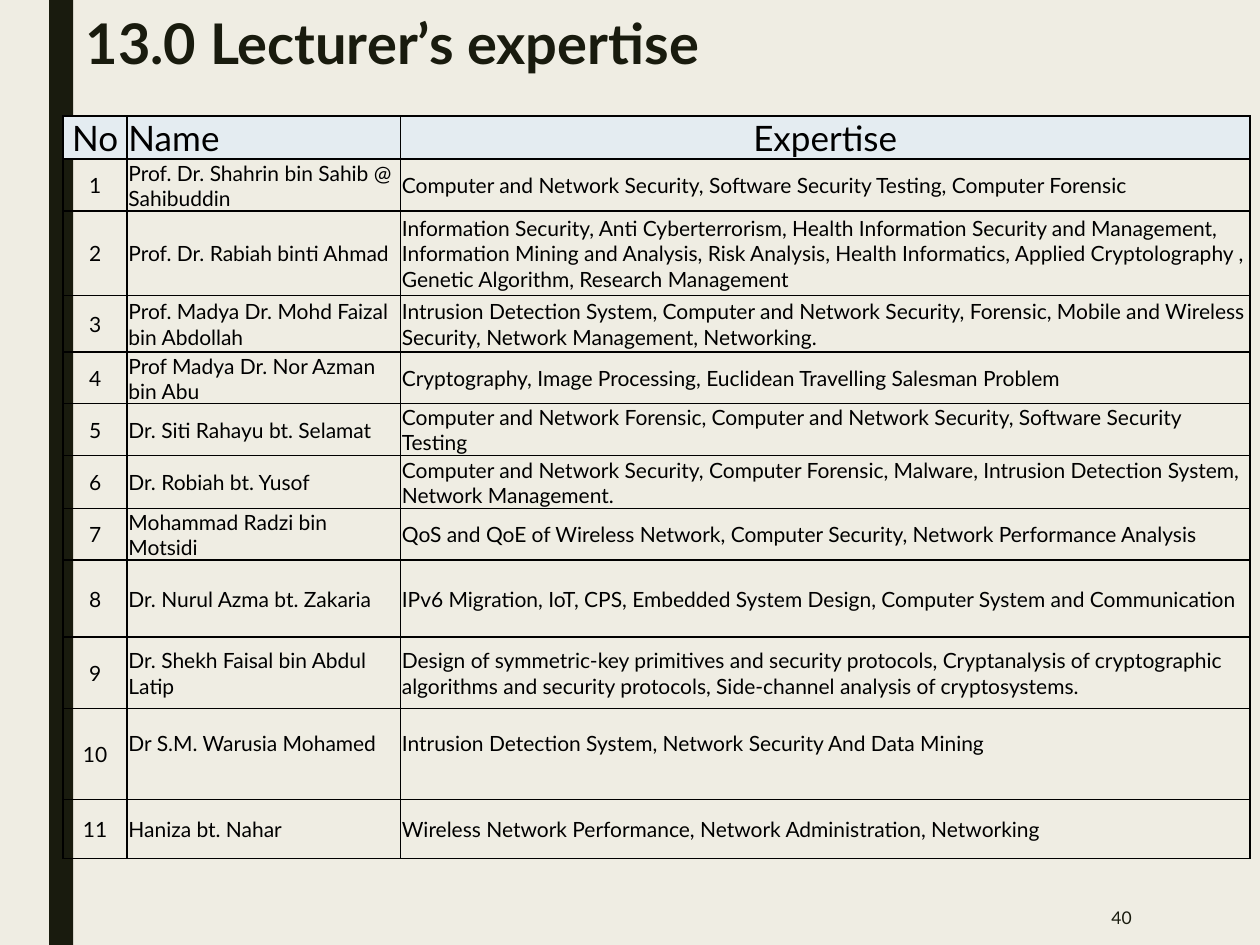
import pptx
import pptx.util
import pptx.dml.color
import pptx.enum.shapes
import pptx.enum.text
from dataclasses import dataclass
from lxml import etree

Inches, Pt = pptx.util.Inches, pptx.util.Pt
ALIGN = pptx.enum.text.PP_ALIGN
ANCHOR = pptx.enum.text.MSO_ANCHOR


@dataclass(frozen=True)
class Theme:
    font: str = "Lato"
    background: str = "EFEDE3"
    dark: str = "191B0E"
    header: str = "E4ECF1"
    black: str = "000000"
    title_size: int = 32
    header_size: int = 20
    body_size: int = 12
    number_size: int = 10
    border: int = 1


THEME = Theme()
TITLE = "13.0 Lecturer’s expertise"
PAGE_NUMBER = "40"
HEADINGS = ("No", "Name", "Expertise")
# name, expertise, row height in inches
LECTURERS = [
    ("Prof. Dr. Shahrin bin Sahib @ Sahibuddin",
     "Computer and Network Security, Software Security Testing, Computer Forensic", 0.4),
    ("Prof. Dr. Rabiah binti Ahmad",
     "Information Security, Anti Cyberterrorism, Health Information Security and Management, "
     "Information Mining and Analysis, Risk Analysis, Health Informatics, "
     "Applied Cryptolography , Genetic Algorithm, Research Management", 0.67),
    ("Prof. Madya Dr. Mohd Faizal bin Abdollah",
     "Intrusion Detection System, Computer and Network Security, Forensic, Mobile and "
     "Wireless Security, Network Management, Networking.", 0.45),
    ("Prof Madya Dr. Nor Azman bin Abu",
     "Cryptography, Image Processing, Euclidean Travelling Salesman Problem", 0.39),
    ("Dr. Siti Rahayu bt. Selamat",
     "Computer and Network Forensic, Computer and Network Security, "
     "Software Security Testing", 0.34),
    ("Dr. Robiah bt. Yusof",
     "Computer and Network Security, Computer Forensic, Malware, "
     "Intrusion Detection System, Network Management.", 0.42),
    ("Mohammad Radzi bin Motsidi",
     "QoS and QoE of Wireless Network, Computer Security, Network Performance Analysis", 0.39),
    ("Dr. Nurul Azma bt. Zakaria",
     "IPv6 Migration, IoT, CPS, Embedded System Design, "
     "Computer System and Communication", 0.61),
    ("Dr. Shekh Faisal bin Abdul Latip",
     "Design of symmetric-key primitives and security protocols, Cryptanalysis of "
     "cryptographic algorithms and security protocols, "
     "Side-channel analysis of cryptosystems.", 0.57),
    ("Dr S.M. Warusia Mohamed",
     "Intrusion Detection System, Network Security And Data Mining", 0.72),
    ("Haniza bt. Nahar",
     "Wireless Network Performance, Network Administration, Networking", 0.47),
]
COLUMN_WIDTHS = (0.51, 2.17, 6.74)
HEADER_HEIGHT = 0.23
RAISED_ROW = 10
RAISED_MARGIN = 0.18


def rgb(value):
    return pptx.dml.color.RGBColor.from_string(value)


def write(frame, text, size, color, align=ALIGN.LEFT, bold=False):
    paragraph = frame.paragraphs[0]
    paragraph.alignment = align
    run = paragraph.add_run()
    run.text = text
    run.font.name = THEME.font
    run.font.size = Pt(size)
    run.font.bold = bold
    run.font.color.rgb = rgb(color)
    return paragraph


def add_borders(cell):
    properties = cell._tc.get_or_add_tcPr()
    namespace = "{http://schemas.openxmlformats.org/drawingml/2006/main}"
    for side in ("lnL", "lnR", "lnT", "lnB"):
        line = etree.SubElement(properties, namespace + side, w=str(Pt(THEME.border)))
        fill = etree.SubElement(line, namespace + "solidFill")
        etree.SubElement(fill, namespace + "srgbClr", val=THEME.black)


def add_title(slide):
    title = slide.shapes.title
    title.left, title.top = Inches(0.58), Inches(0.08)
    title.width, title.height = Inches(5.95), Inches(1.41)
    title.text_frame.vertical_anchor = ANCHOR.TOP
    title.text_frame.word_wrap = True
    paragraph = write(title.text_frame, TITLE, THEME.title_size, THEME.dark, bold=True)
    paragraph.line_spacing = 0.89


def add_side_bar(slide, height):
    bar = slide.shapes.add_shape(pptx.enum.shapes.MSO_SHAPE.RECTANGLE,
                                 Inches(0.39), 0, Inches(0.19), height)
    bar.shadow.inherit = False
    bar.fill.solid()
    bar.fill.fore_color.rgb = rgb(THEME.dark)
    bar.line.fill.background()


def add_page_number(slide):
    box = slide.shapes.add_textbox(Inches(7.77), Inches(7.06), Inches(1.31), Inches(0.44))
    box.text_frame.word_wrap = True
    box.text_frame.vertical_anchor = ANCHOR.MIDDLE
    write(box.text_frame, PAGE_NUMBER, THEME.number_size, THEME.dark, ALIGN.RIGHT)


def add_expertise_table(slide):
    rows = [HEADINGS] + [(str(number), name, expertise)
                         for number, (name, expertise, _) in enumerate(LECTURERS, 1)]
    heights = [HEADER_HEIGHT] + [height for _, _, height in LECTURERS]
    table = slide.shapes.add_table(len(rows), len(COLUMN_WIDTHS), Inches(0.5), Inches(0.92),
                                   Inches(sum(COLUMN_WIDTHS)), Inches(sum(heights))).table
    table.first_row = table.horz_banding = False
    for column, width in zip(table.columns, COLUMN_WIDTHS):
        column.width = Inches(width)
    for row_index, (texts, height) in enumerate(zip(rows, heights)):
        table.rows[row_index].height = Inches(height)
        is_header = row_index == 0
        for column_index, text in enumerate(texts):
            cell = table.cell(row_index, column_index)
            cell.margin_left = cell.margin_right = cell.margin_top = Inches(0.01)
            raised = row_index == RAISED_ROW and column_index > 0
            cell.margin_bottom = Inches(RAISED_MARGIN if raised else 0)
            cell.vertical_anchor = ANCHOR.MIDDLE
            add_borders(cell)
            if is_header:
                cell.fill.solid()
                cell.fill.fore_color.rgb = rgb(THEME.header)
            else:
                cell.fill.background()
            centred = column_index == 0 or (is_header and column_index == 2)
            write(cell.text_frame, text,
                  THEME.header_size if is_header else THEME.body_size,
                  THEME.black, ALIGN.CENTER if centred else ALIGN.LEFT)


def main():
    presentation = pptx.Presentation()
    presentation.slide_width, presentation.slide_height = Inches(10), Inches(7.5)
    slide = presentation.slides.add_slide(presentation.slide_layouts.get_by_name("Title Only"))
    slide.background.fill.solid()
    slide.background.fill.fore_color.rgb = rgb(THEME.background)
    add_side_bar(slide, presentation.slide_height)
    add_title(slide)
    add_page_number(slide)
    add_expertise_table(slide)
    presentation.save("out.pptx")


if __name__ == "__main__":
    main()
